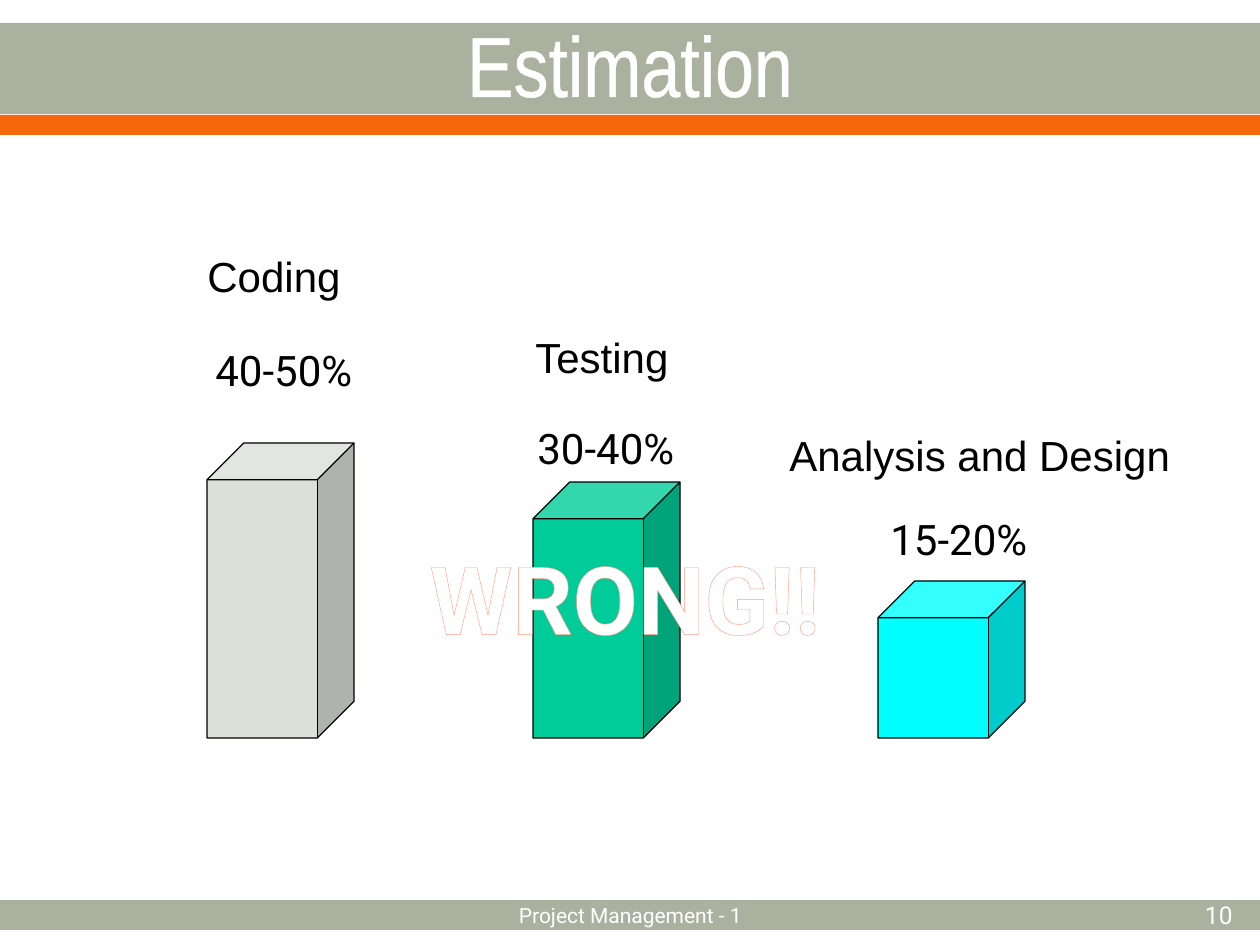
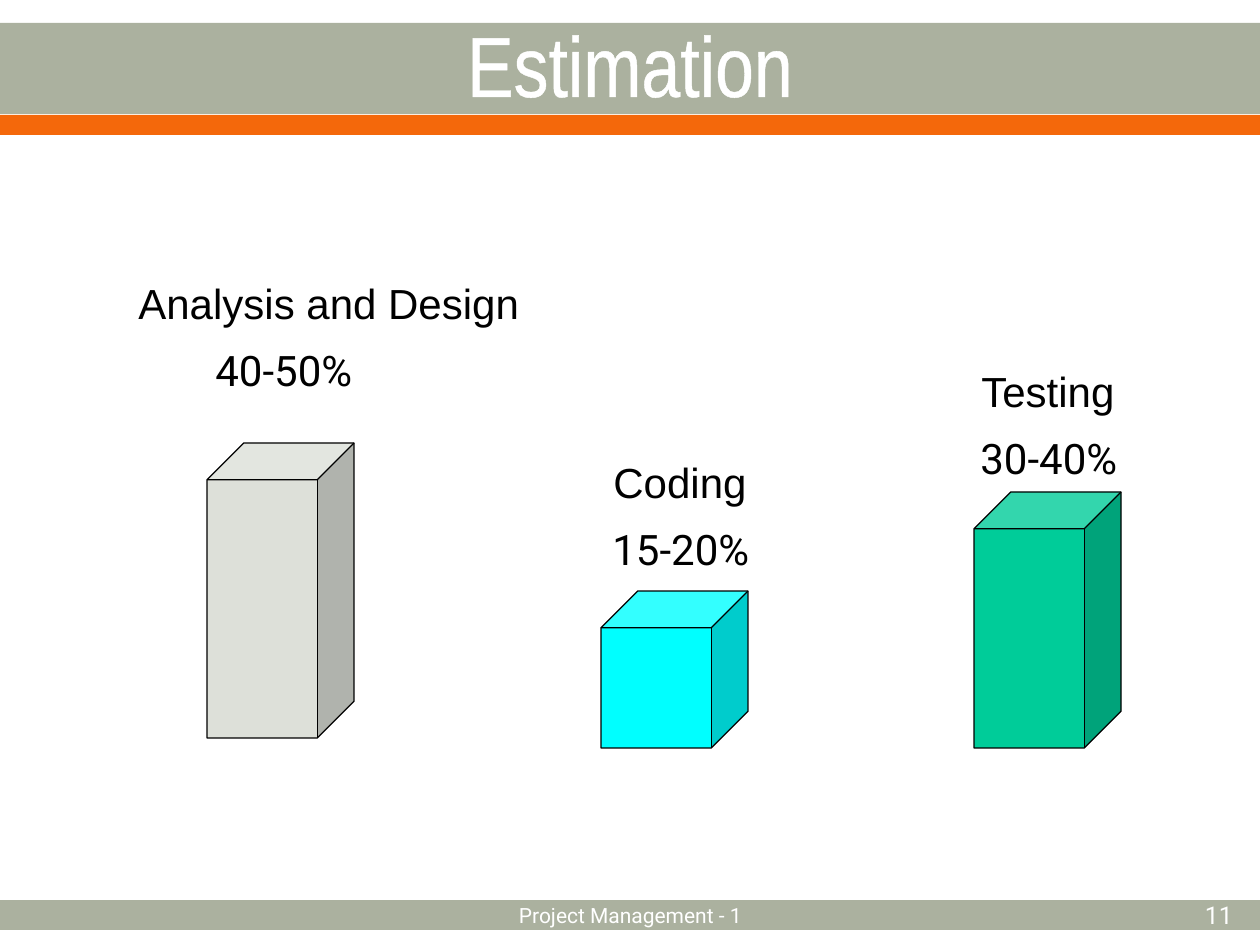
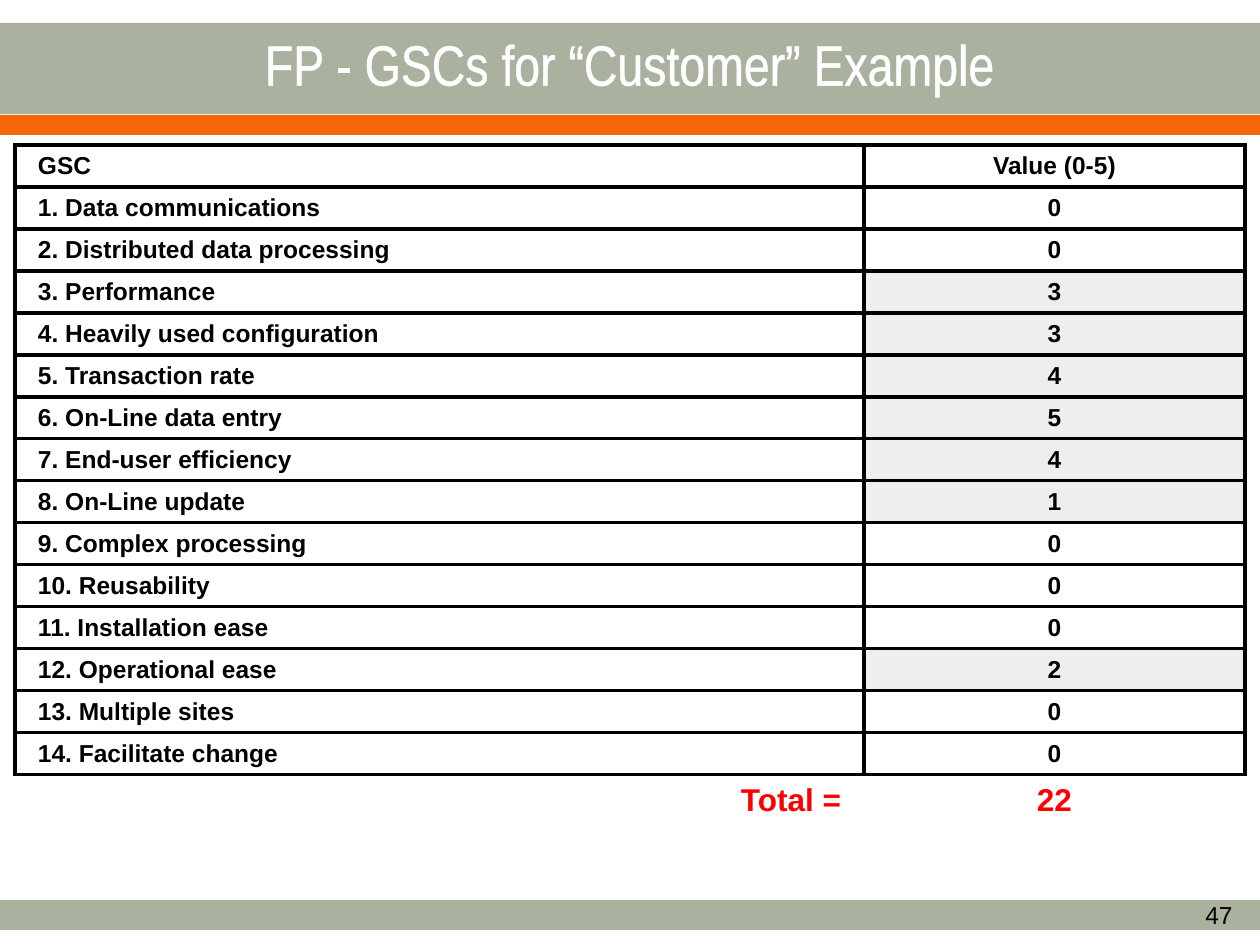
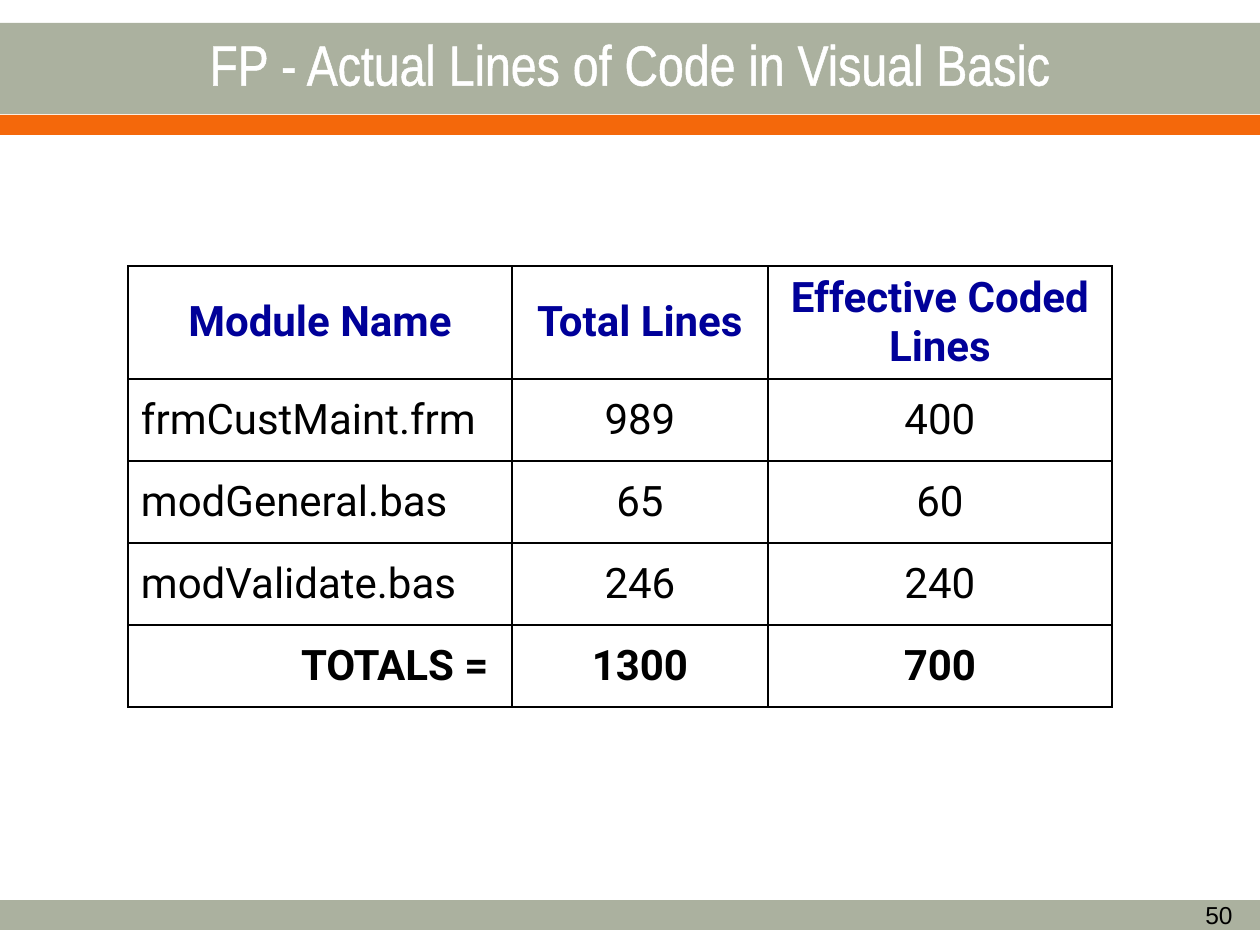
from pptx import Presentation
from pptx.dml.color import RGBColor
from pptx.enum.shapes import MSO_SHAPE as Shape
from pptx.enum.text import MSO_ANCHOR as Anchor, MSO_AUTO_SIZE as AutoSize, PP_ALIGN as Align
from pptx.oxml.ns import qn
from pptx.util import Emu, Pt
from lxml.etree import SubElement, Element

PX = 914400 / 126
PAGE_WIDTH, PAGE_HEIGHT = 1260, 945

SAGE = RGBColor(0xAB, 0xB1, 0x9F)
ORANGE = RGBColor(0xF4, 0x68, 0x0B)
WHITE = RGBColor(0xFF, 0xFF, 0xFF)
BLACK = RGBColor(0x00, 0x00, 0x00)
RED = RGBColor(0xFF, 0x00, 0x00)
NAVY = RGBColor(0x00, 0x00, 0x99)
SALMON = RGBColor(0xFF, 0x9C, 0x84)
PALE = RGBColor(0xEE, 0xEF, 0xEC)
STONE = RGBColor(0xDD, 0xE0, 0xD9)
GREEN = RGBColor(0x00, 0xCC, 0x99)
CYAN = RGBColor(0x00, 0xFF, 0xFF)

BANDS = [(900, 30, SAGE), (14, 200, WHITE), (23, 91, SAGE), (115, 20, ORANGE)]

# share of effort, height, colour, rise of the share label above the bar
TALL = ("40-50%", 295, STONE, 99)
MIDDLE = ("30-40%", 256, GREEN, 60)
SHORT = ("15-20%", 157, CYAN, 68)
BAR_WIDTH = 147

# phase, width of its label
CODING = ("Coding", 159)
TESTING = ("Testing", 164)
DESIGN = ("Analysis and Design", 407)

GSC_ROWS = [
    ("GSC", "Value (0-5)"),
    ("1. Data communications", "0"),
    ("2. Distributed data processing", "0"),
    ("3. Performance", "3"),
    ("4. Heavily used configuration", "3"),
    ("5. Transaction rate", "4"),
    ("6. On-Line data entry", "5"),
    ("7. End-user efficiency", "4"),
    ("8. On-Line update", "1"),
    ("9. Complex processing", "0"),
    ("10. Reusability", "0"),
    ("11. Installation ease", "0"),
    ("12. Operational ease", "2"),
    ("13. Multiple sites", "0"),
    ("14. Facilitate change", "0"),
    ("Total =", "22"),
]
MODULE_ROWS = [
    ("Module Name", "Total Lines", "Effective Coded Lines"),
    ("frmCustMaint.frm", "989", "400"),
    ("modGeneral.bas", "65", "60"),
    ("modValidate.bas", "246", "240"),
    ("TOTALS = ", "1300", "700"),
]


def px(length):
    return Emu(round(length * PX))


def place(box):
    return [px(length) for length in box]


def style_text(frame, text, size, font, color, bold=False, align=Align.LEFT):
    frame.text = text
    para = frame.paragraphs[0]
    para.alignment = align
    span = para.runs[0]
    span.font.size, span.font.name, span.font.bold = Pt(size), font, bold
    span.font.color.rgb = color
    return para


def add_solid(parent, color):
    SubElement(SubElement(parent, qn("a:solidFill")), qn("a:srgbClr"), val=str(color))


def outline_text(para, color, width):
    line = Element(qn("a:ln"), w=str(Pt(width)))
    add_solid(line, color)
    para.runs[0].font._element.insert(0, line)


def add_text(page, box, text, size, font, color, bold=False, align=Align.LEFT,
             anchor=Anchor.TOP, wrap=True, grow=False):
    frame = page.shapes.add_textbox(*place(box)).text_frame
    frame.word_wrap = wrap
    frame.vertical_anchor = anchor
    frame.auto_size = AutoSize.SHAPE_TO_FIT_TEXT if grow else AutoSize.NONE
    return style_text(frame, text, size, font, color, bold, align)


def add_solid_shape(page, kind, box, fill, line=None):
    shape = page.shapes.add_shape(kind, *place(box))
    shape.shadow.inherit = False
    shape.fill.solid()
    shape.fill.fore_color.rgb = fill
    if line is None:
        shape.line.fill.background()
    else:
        shape.line.color.rgb = line
        shape.line.width = Pt(0.75)
    return shape


def add_page(deck, title, title_size, number, footer=None):
    """Add a slide with the bands, title, page number and optional footer."""
    page = deck.slides.add_slide(deck.slide_layouts[6])
    for top, height, color in BANDS:
        add_solid_shape(page, Shape.RECTANGLE, (0, top, PAGE_WIDTH, height), color)
    para = add_text(page, (0, 24, PAGE_WIDTH, 78), title, title_size, "Arial Narrow",
                    WHITE, align=Align.CENTER, anchor=Anchor.MIDDLE)
    outline_text(para, WHITE, 1.1)
    number_font, number_color = ("Roboto", WHITE) if footer else ("Arial", BLACK)
    if footer:
        add_text(page, (431, 890, 399, 50), footer, 12, "Roboto", WHITE,
                 align=Align.CENTER, anchor=Anchor.MIDDLE)
    add_text(page, (1027, 890, 218, 50), number, 14, number_font, number_color,
             align=Align.RIGHT, anchor=Anchor.MIDDLE)
    return page


def add_bar(page, left, base, bar, phase, share_shift, name_shift, name_rise):
    """Stand a cube on base; label shifts and rises count from its top left corner."""
    share, height, color, share_rise = bar
    name, name_width = phase
    top = base - height
    para = add_text(page, (left + share_shift, top - share_rise, 170, 58), share, 24,
                    "Roboto", BLACK, wrap=False, grow=True)
    para.line_spacing = 0.9
    add_text(page, (left + name_shift, top - name_rise, name_width, 63), name, 24,
             "Arial", BLACK, wrap=False, grow=True)
    add_solid_shape(page, Shape.CUBE, (left, top, BAR_WIDTH, height), color, BLACK)


def add_estimation_page(deck, number, bars):
    page = add_page(deck, "Estimation", 48.6, number, "Project Management - 1")
    for bar in bars:
        add_bar(page, *bar)
    return page


def set_borders(cell, width, sides="LRTB"):
    """Draw black lines on the given sides and none on the others."""
    props = cell._tc.get_or_add_tcPr()
    for position, side in enumerate("LRTB"):
        line = Element(qn(f"a:ln{side}"), w=str(Pt(width)))
        if side in sides:
            add_solid(line, BLACK)
        else:
            SubElement(line, qn("a:noFill"))
        props.insert(position, line)


def add_grid(page, left, top, widths, heights):
    box = (left, top, sum(widths), sum(heights))
    table = page.shapes.add_table(len(heights), len(widths), *place(box)).table
    table.first_row = table.horz_banding = False
    for column, width in zip(table.columns, widths):
        column.width = px(width)
    for row, height in zip(table.rows, heights):
        row.height = px(height)
    return table


def fill_cell(cell, text, size, font, color, bold, align, margin, fill=None):
    cell.vertical_anchor = Anchor.MIDDLE
    cell.margin_left = cell.margin_right = px(margin)
    cell.margin_top = cell.margin_bottom = px(6)
    if fill is None:
        cell.fill.background()
    else:
        cell.fill.solid()
        cell.fill.fore_color.rgb = fill
    return style_text(cell.text_frame, text, size, font, color, bold, align)


def add_gsc_table(page, left, top):
    last = len(GSC_ROWS) - 1
    table = add_grid(page, left, top, [849, 381], [42] * last + [53])
    for row, texts in enumerate(GSC_ROWS):
        total = row == last
        size, color = (18, RED) if total else (14, BLACK)
        rated = 0 < row < last and texts[1] != "0"
        name_align = Align.RIGHT if total else Align.LEFT
        for column, align in enumerate((name_align, Align.CENTER)):
            cell = table.cell(row, column)
            fill = PALE if rated and column == 1 else None
            para = fill_cell(cell, texts[column], size, "Arial", color, True, align, 23, fill)
            props = para._p.get_or_add_pPr()
            props.set("marL", str(px(48)))
            props.set("indent", str(px(-48)))
            set_borders(cell, 2.25, "T" if total else "LRTB")


def add_module_table(page, left, top):
    table = add_grid(page, left, top, [384, 256, 344], [113] + [82] * 4)
    last = len(MODULE_ROWS) - 1
    for row, texts in enumerate(MODULE_ROWS):
        name_align = {0: Align.CENTER, last: Align.RIGHT}.get(row, Align.LEFT)
        for column, text in enumerate(texts):
            cell = table.cell(row, column)
            fill_cell(cell, text, 24, "Roboto", BLACK if row else NAVY, row in (0, last),
                      Align.CENTER if column else name_align, 13)
            set_borders(cell, 1)


def main():
    deck = Presentation()
    deck.slide_width, deck.slide_height = px(PAGE_WIDTH), px(PAGE_HEIGHT)

    page = add_estimation_page(deck, "10", [
        (207, 738, TALL, CODING, -4, -12, 199),
        (533, 738, MIDDLE, TESTING, -8, -10, 157),
        (878, 738, SHORT, DESIGN, 0, -101, 158),
    ])
    para = add_text(page, (239, 534, 772, 127), "WRONG!!", 54, "Roboto", WHITE, True,
                    Align.CENTER, grow=True)
    outline_text(para, SALMON, 2.48)

    add_estimation_page(deck, "11", [
        (207, 738, TALL, DESIGN, -4, -81, 172),
        (601, 748, SHORT, CODING, -1, 0, 141),
        (974, 748, MIDDLE, TESTING, -6, -5, 133),
    ])

    page = add_page(deck, "FP - GSCs for “Customer” Example", 32.4, "47")
    add_gsc_table(page, 15, 145)

    page = add_page(deck, "FP - Actual Lines of Code in Visual Basic", 32.4, "50")
    add_module_table(page, 128, 266)

    deck.save("out.pptx")


if __name__ == "__main__":
    main()
